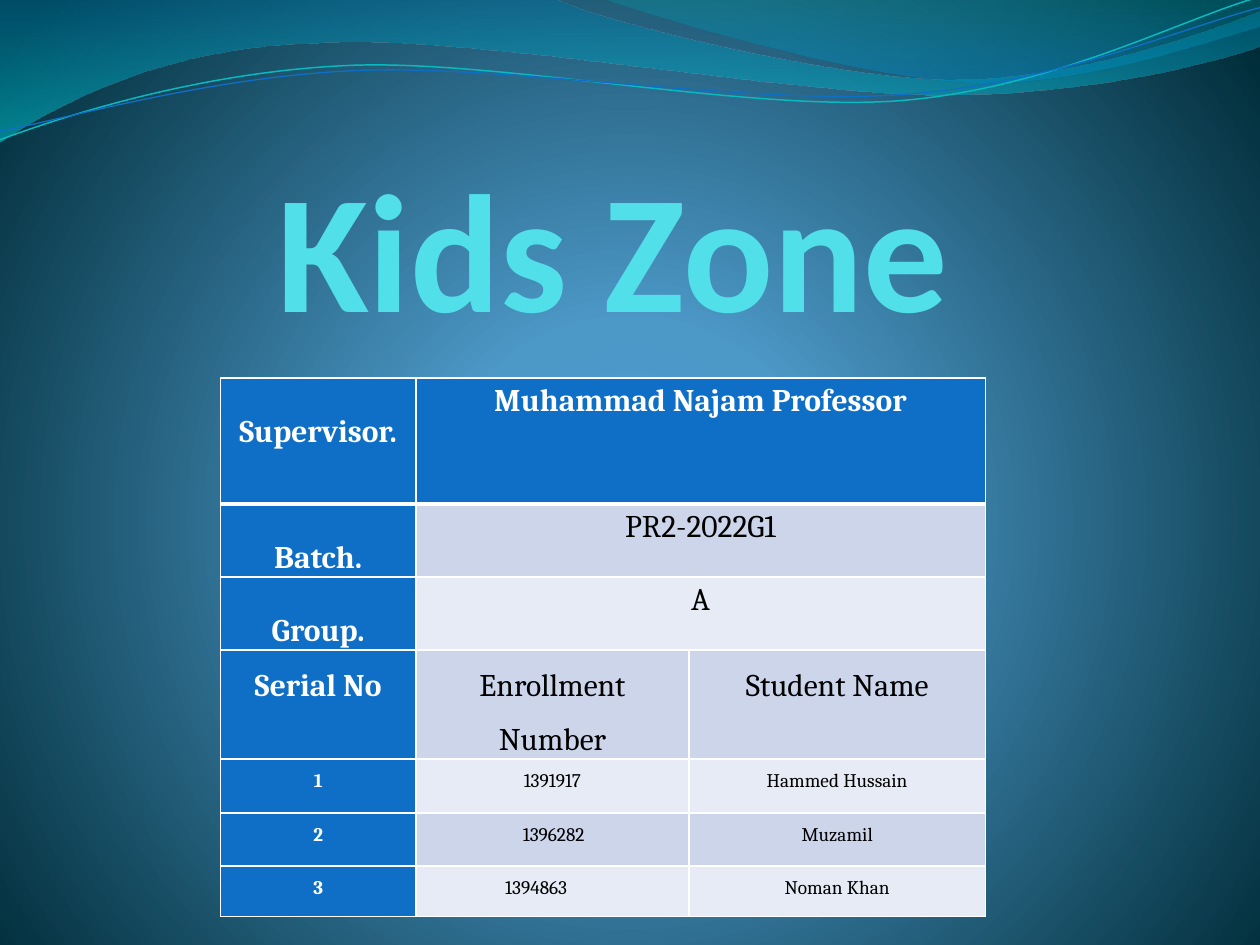
from dataclasses import dataclass
from math import cos, radians, sin

from pptx import Presentation
from pptx.dml.color import RGBColor
from pptx.enum.text import MSO_ANCHOR, MSO_AUTO_SIZE, PP_ALIGN
from pptx.oxml import parse_xml
from pptx.oxml.ns import nsdecls, qn
from pptx.util import Inches, Pt

CENTER, LEFT = PP_ALIGN.CENTER, PP_ALIGN.LEFT
BOTTOM = MSO_ANCHOR.BOTTOM
NO_AUTOFIT = MSO_AUTO_SIZE.NONE


@dataclass(frozen=True)
class Theme:
    title_font: str = "Calibri"
    table_font: str = "Cambria"
    title_size: int = 96
    label_size: int = 18
    student_size: int = 11
    title: str = "51E0EA"
    header: str = "0F6FC6"
    band_dark: str = "CCD5EA"
    band_light: str = "E7EBF5"
    white: str = "FFFFFF"
    black: str = "000000"
    teal_line: str = "0AB8BF"
    backdrop: tuple = ((0, "4AA0D6", 100), (25, "4C98C7", 100), (100, "002C38", 100))
    wide_wave: tuple = ((0, "0074A1", 45), (100, "00C6CF", 55))
    corner_wave: tuple = ((0, "00A1A9", 30), (80, "008BBF", 45))


THEME = Theme()
DOWNWARD = '<a:lin ang="5400000" scaled="1"/>'
RADIAL = ('<a:path path="circle"><a:fillToRect l="10000" t="110000" '
          'r="10000" b="100000"/></a:path>')
CURVE_TILT = -2.7

WIDE_BOX = (-0.01, -0.01, 10.02, 1.14)
WIDE_WAVE = [
    (0, 0), (4.4, -0.01),
    (4.76, 0.17, 6.64, 0.63, 7.58, 0.63), (8.53, 0.63, 9.58, 0.26, 10, 0.09),
    (10.01, 0.36),
    (9.83, 0.44, 8.7, 0.76, 7.46, 0.75), (6.22, 0.75, 3.82, 0.28, 2.57, 0.34),
    (1.29, 0.36, 0.46, 0.83, -0.01, 1.13), (0, 0),
]
CORNER_BOX = (4.79, -0.01, 5.21, 0.7)
CORNER_WAVE = [
    (4.79, -0.01), (5.09, 0.11, 6.82, 0.62, 7.69, 0.65),
    (8.56, 0.69, 9.61, 0.32, 10, 0.21), (10, 0), (4.79, -0.01),
]
TEAL_BOX = (-0.02, 0.22, 10.02, 0.71)
TEAL_CURVE = [
    (0, 1.11), (0.48, 0.93, 1.58, 0.57, 2.77, 0.52),
    (3.95, 0.47, 5.93, 0.89, 7.13, 0.8), (8.33, 0.71, 9.38, 0.15, 9.98, -0.02),
]
BLUE_BOX = (-0.02, 0.3, 10.03, 0.58)
BLUE_CURVE = [
    (0, 1.04), (0.47, 0.96, 1.64, 0.61, 2.83, 0.56),
    (4.03, 0.51, 5.97, 0.84, 7.17, 0.75), (8.36, 0.67, 9.41, 0.21, 10, 0.06),
]

COLUMNS = [1.55, 2.17, 2.35]
ROW_HEIGHTS = [1, 0.57, 0.58, 0.86, 0.43, 0.42, 0.4]
ROWS = [
    ["Supervisor.", "Muhammad Najam Professor"],
    ["Batch.", "PR2-2022G1"],
    ["Group.", "A"],
    ["Serial No", "Enrollment Number", "Student Name"],
    ["1", "1391917", "Hammed Hussain"],
    ["2", "1396282", "Muzamil"],
    ["3", "1394863", "Noman Khan"],
]
MERGED_ROWS = 3
FIRST_STUDENT = 4
INDENTS = {(5, 1): 0.78, (6, 1): 0.64}


def set_attrs(target, values):
    for name, value in values.items():
        setattr(target, name, value)


def set_box(target, box):
    set_attrs(target, dict(zip(("left", "top", "width", "height"), map(Inches, box))))


def set_gradient(fill, parent, stops, direction):
    fill.gradient()
    old = parent.find(".//" + qn("a:gradFill"))
    stops_xml = "".join(
        f'<a:gs pos="{pos * 1000}"><a:srgbClr val="{color}">'
        f'<a:alpha val="{alpha * 1000}"/></a:srgbClr></a:gs>'
        for pos, color, alpha in stops)
    old.getparent().replace(old, parse_xml(
        f'<a:gradFill {nsdecls("a")} rotWithShape="1"><a:gsLst>{stops_xml}</a:gsLst>'
        f'{direction}</a:gradFill>'))


def local_point(x, y, box, tilt):
    left, top, width, height = box
    dx, dy = x - left - width / 2, y - top - height / 2
    angle = radians(-tilt)
    return (Inches(width / 2 + dx * cos(angle) - dy * sin(angle)),
            Inches(height / 2 + dx * sin(angle) + dy * cos(angle)))


def add_outline(s, steps, box, close, tilt=0):
    ends = [(Inches(step[-2]), Inches(step[-1])) for step in steps]
    builder = s.shapes.build_freeform(*ends[0])
    builder.add_line_segments(ends[1:], close=close)
    sp = builder.convert_to_shape()
    set_box(sp, box)
    sp.rotation = tilt
    sp.shadow.inherit = False
    outline = sp._element.spPr.find(".//" + qn("a:path"))
    outline.set("w", str(Inches(box[2])))
    outline.set("h", str(Inches(box[3])))
    for i, step in enumerate(steps):
        tag = "cubicBezTo" if len(step) == 6 else "lnTo" if i else "moveTo"
        points = [local_point(x, y, box, tilt) for x, y in zip(step[::2], step[1::2])]
        points_xml = "".join(f'<a:pt x="{x}" y="{y}"/>' for x, y in points)
        outline.replace(outline[i], parse_xml(
            f'<a:{tag} {nsdecls("a")}>{points_xml}</a:{tag}>'))
    return sp


def add_wave(s, steps, box, stops):
    sp = add_outline(s, steps, box, True)
    set_gradient(sp.fill, sp._element.spPr, stops, DOWNWARD)
    sp.line.fill.background()


def add_curve(s, steps, box, color, width):
    sp = add_outline(s, steps, box, False, CURVE_TILT)
    sp.fill.background()
    sp.line.color.rgb = RGBColor.from_string(color)
    sp.line.width = Pt(width)


def write_text(tf, text, color, font, align=CENTER, spacing=None):
    p = tf.paragraphs[0]
    set_attrs(p, {"alignment": align, "line_spacing": spacing})
    r = p.add_run()
    r.text = text
    set_attrs(r.font, font)
    r.font.color.rgb = RGBColor.from_string(color)
    return p


def add_title(s, text):
    sp = s.shapes.title
    set_box(sp, (0.58, 0.75, 8.59, 2))
    tf = sp.text_frame
    set_attrs(tf, {"word_wrap": True, "auto_size": NO_AUTOFIT,
                   "vertical_anchor": BOTTOM, "margin_left": 0, "margin_top": 0,
                   "margin_right": Inches(0.02), "margin_bottom": 0})
    write_text(tf, text, THEME.title,
               {"name": THEME.title_font, "size": Pt(THEME.title_size), "bold": True})
    s.shapes._spTree.append(sp._element)


def set_borders(cell, row):
    widths = {"L": 1, "R": 1, "T": 3 if row == 1 else 1, "B": 3 if row == 0 else 1}
    tc_pr = cell._tc.get_or_add_tcPr()
    for side, width in widths.items():
        tc_pr.append(parse_xml(
            f'<a:ln{side} {nsdecls("a")} w="{Pt(width)}"><a:solidFill>'
            f'<a:srgbClr val="{THEME.white}"/></a:solidFill></a:ln{side}>'))


def format_cell(cell, row, col):
    set_borders(cell, row)
    is_header = row == 0 or col == 0
    band = THEME.band_dark if row % 2 else THEME.band_light
    cell.fill.solid()
    cell.fill.fore_color.rgb = RGBColor.from_string(THEME.header if is_header else band)
    set_attrs(cell, {"margin_left": Inches(0.07), "margin_right": Inches(0.07),
                     "margin_top": 0, "margin_bottom": 0})
    if col >= len(ROWS[row]):
        return
    spacing = 1.5
    if row < MERGED_ROWS:
        spacing = 1.15 if col else 2.0
    size = THEME.student_size if row >= FIRST_STUDENT else THEME.label_size
    indent = INDENTS.get((row, col))
    p = write_text(cell.text_frame, ROWS[row][col],
                   THEME.white if is_header else THEME.black,
                   {"name": THEME.table_font, "size": Pt(size), "bold": is_header},
                   LEFT if indent else CENTER, spacing)
    if indent:
        p._p.get_or_add_pPr().set("marL", str(Inches(indent)))


def add_team_table(s):
    table = s.shapes.add_table(
        len(ROWS), len(COLUMNS), Inches(1.75), Inches(3),
        Inches(sum(COLUMNS)), Inches(sum(ROW_HEIGHTS))).table
    table.horz_banding = False
    for column, width in zip(table.columns, COLUMNS):
        column.width = Inches(width)
    for i, height in enumerate(ROW_HEIGHTS):
        table.rows[i].height = Inches(height)
        if i < MERGED_ROWS:
            table.cell(i, 1).merge(table.cell(i, 2))
        for j in range(len(COLUMNS)):
            format_cell(table.cell(i, j), i, j)


def main():
    prs = Presentation()
    set_attrs(prs, {"slide_width": Inches(10), "slide_height": Inches(7.5)})
    s = prs.slides.add_slide(prs.slide_layouts[0])
    subtitle = s.placeholders[1]._element
    subtitle.getparent().remove(subtitle)
    set_gradient(s.background.fill, s._element, THEME.backdrop, RADIAL)
    add_wave(s, WIDE_WAVE, WIDE_BOX, THEME.wide_wave)
    add_wave(s, CORNER_WAVE, CORNER_BOX, THEME.corner_wave)
    add_curve(s, TEAL_CURVE, TEAL_BOX, THEME.teal_line, 0.85)
    add_curve(s, BLUE_CURVE, BLUE_BOX, THEME.header, 0.75)
    add_title(s, "Kids Zone")
    add_team_table(s)
    prs.save("out.pptx")


if __name__ == "__main__":
    main()
